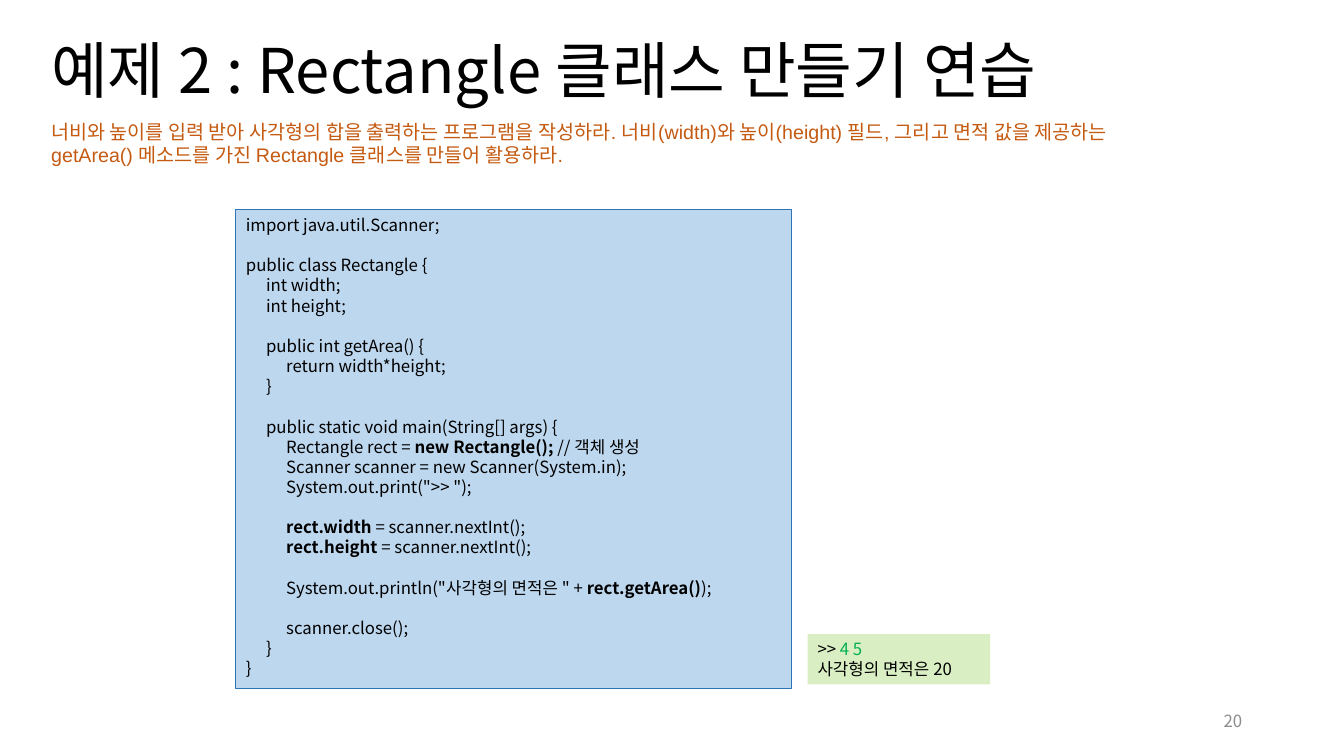
from lxml import etree
from pptx import Presentation
from pptx.dml.color import RGBColor
from pptx.enum.shapes import MSO_SHAPE
from pptx.enum.text import MSO_ANCHOR, PP_ALIGN
from pptx.oxml.ns import qn
from pptx.util import Inches, Pt

RECTANGLE = MSO_SHAPE.RECTANGLE
TOP, MIDDLE = MSO_ANCHOR.TOP, MSO_ANCHOR.MIDDLE
LEFT, RIGHT = PP_ALIGN.LEFT, PP_ALIGN.RIGHT

KOREAN_FONT = "Noto Sans CJK KR"
COLORS = {
    "black": "000000", "gray": "8C8C8C", "orange": "C55A11", "input": "00B050",
    "code_fill": "BDD7EE", "code_line": "2E75B6", "output_fill": "DAEEC4",
}
TITLE = "예제 2 : Rectangle 클래스 만들기 연습"
TASK = (
    "너비와 높이를 입력 받아 사각형의 합을 출력하는 프로그램을 작성하라. "
    "너비(width)와 높이(height) 필드, 그리고 면적 값을 제공하는 getArea() 메소드를 가진 "
    "Rectangle 클래스를 만들어 활용하라."
)
CODE = """import java.util.Scanner;

public class Rectangle {
\tint width;
\tint height;

\tpublic int getArea() {
\t\treturn width*height;
\t}

\tpublic static void main(String[] args) {
\t\tRectangle rect = **new Rectangle();** // 객체 생성
\t\tScanner scanner = new Scanner(System.in);
\t\tSystem.out.print(">> ");

\t\t**rect.width** = scanner.nextInt();
\t\t**rect.height** = scanner.nextInt();

\t\tSystem.out.println("사각형의 면적은 " + **rect.getArea()**);

\t\tscanner.close();
\t}
}"""
OUTPUT = [[(">> ", "black"), ("4 5", "input")], [("사각형의 면적은 20", "black")]]
TAB_STEP = 0.2


def code_line(line):
    parts = line.split("**")
    return [(part, "black", i % 2 == 1) for i, part in enumerate(parts) if part]


def add_tabs(para):
    tabs = etree.SubElement(para._p.get_or_add_pPr(), qn("a:tabLst"))
    for level in (1, 2):
        etree.SubElement(tabs, qn("a:tab"), pos=str(Inches(TAB_STEP * level)), algn="l")


def write(box, lines, size, font=KOREAN_FONT, anchor=TOP, align=LEFT, spacing=None, tabs=False):
    frame = box.text_frame
    frame.word_wrap = True
    frame.vertical_anchor = anchor
    for i, line in enumerate(lines):
        para = frame.add_paragraph() if i else frame.paragraphs[0]
        para.alignment = align
        if spacing:
            para.line_spacing = spacing
        if tabs:
            add_tabs(para)
        for text, color, *bold in line:
            span = para.add_run()
            span.text = text
            span.font.size = Pt(size)
            span.font.name = font
            span.font.bold = any(bold)
            span.font.color.rgb = RGBColor.from_string(COLORS[color])
            etree.SubElement(span._r.get_or_add_rPr(), qn("a:ea"), typeface=KOREAN_FONT)
        if not line:
            end = etree.SubElement(para._p, qn("a:endParaRPr"), sz=str(size * 100))
            for tag in ("a:latin", "a:ea"):
                etree.SubElement(end, qn(tag), typeface=font)


def add_text(page, place, lines, size, **style):
    box = page.shapes.add_textbox(*map(Inches, place))
    write(box, lines, size, **style)


def add_panel(page, place, lines, fill, line=None, **style):
    panel = page.shapes.add_shape(RECTANGLE, *map(Inches, place))
    panel.shadow.inherit = False
    panel.fill.solid()
    panel.fill.fore_color.rgb = RGBColor.from_string(COLORS[fill])
    if line:
        panel.line.color.rgb = RGBColor.from_string(COLORS[line])
        panel.line.width = Pt(0.75)
    else:
        panel.line.fill.background()
    write(panel, lines, 12, **style)


deck = Presentation()
deck.slide_width, deck.slide_height = Inches(13.33), Inches(7.5)
page = deck.slides.add_slide(deck.slide_layouts[6])

add_text(page, (0.41, 0, 12.8, 1.45), [[(TITLE, "black")]], 44, anchor=MIDDLE, spacing=0.9)
add_text(page, (9.42, 6.95, 3, 0.4), [[("20", "gray")]], 12, anchor=MIDDLE, align=RIGHT)
add_text(page, (0.41, 1.14, 11.04, 0.57), [[(TASK, "orange")]], 14, font="Arial")
add_panel(page, (2.34, 2.08, 5.51, 4.75), [code_line(line) for line in CODE.split("\n")],
          "code_fill", "code_line", tabs=True)
add_panel(page, (8.01, 6.29, 1.81, 0.5), OUTPUT, "output_fill")

deck.save("out.pptx")
